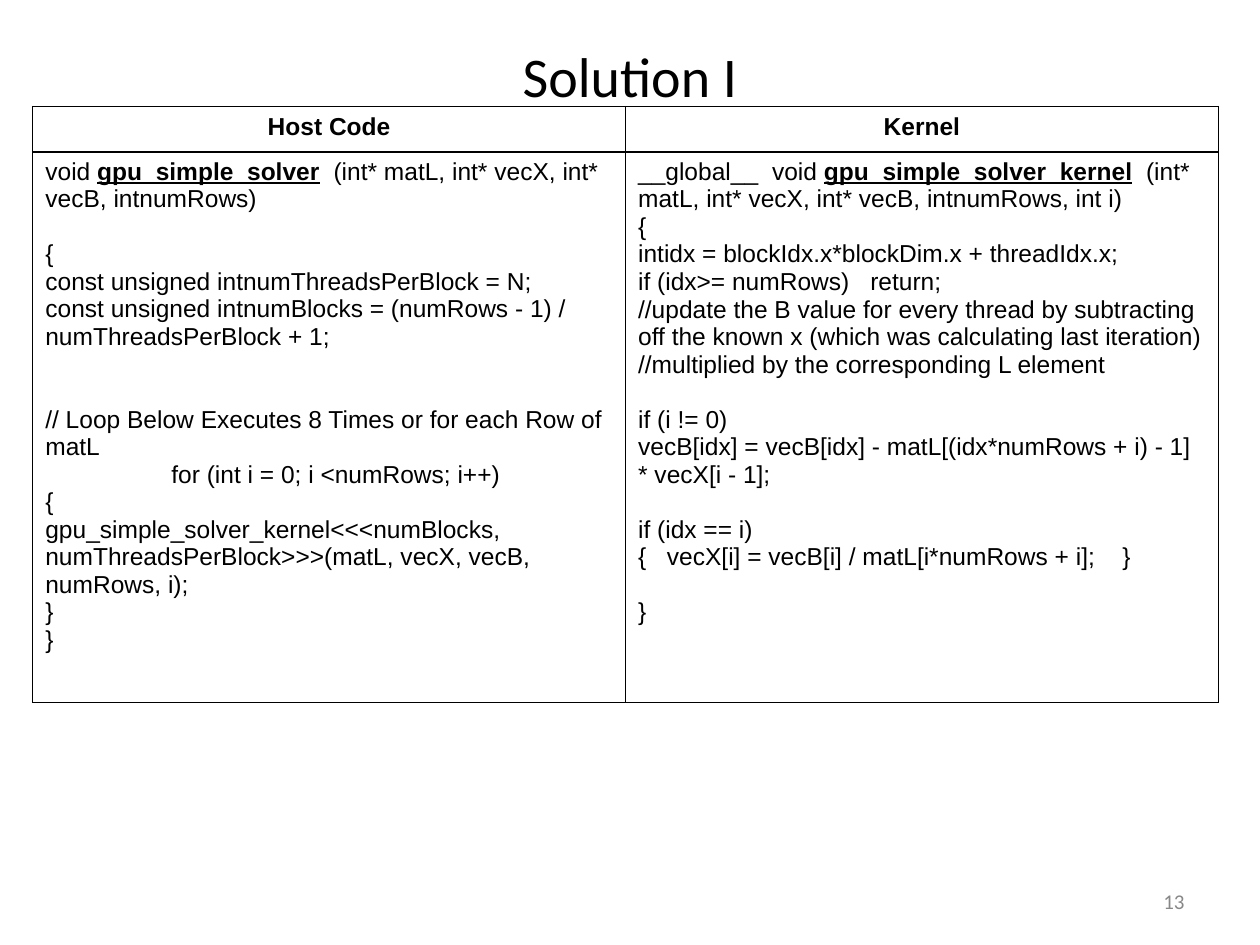
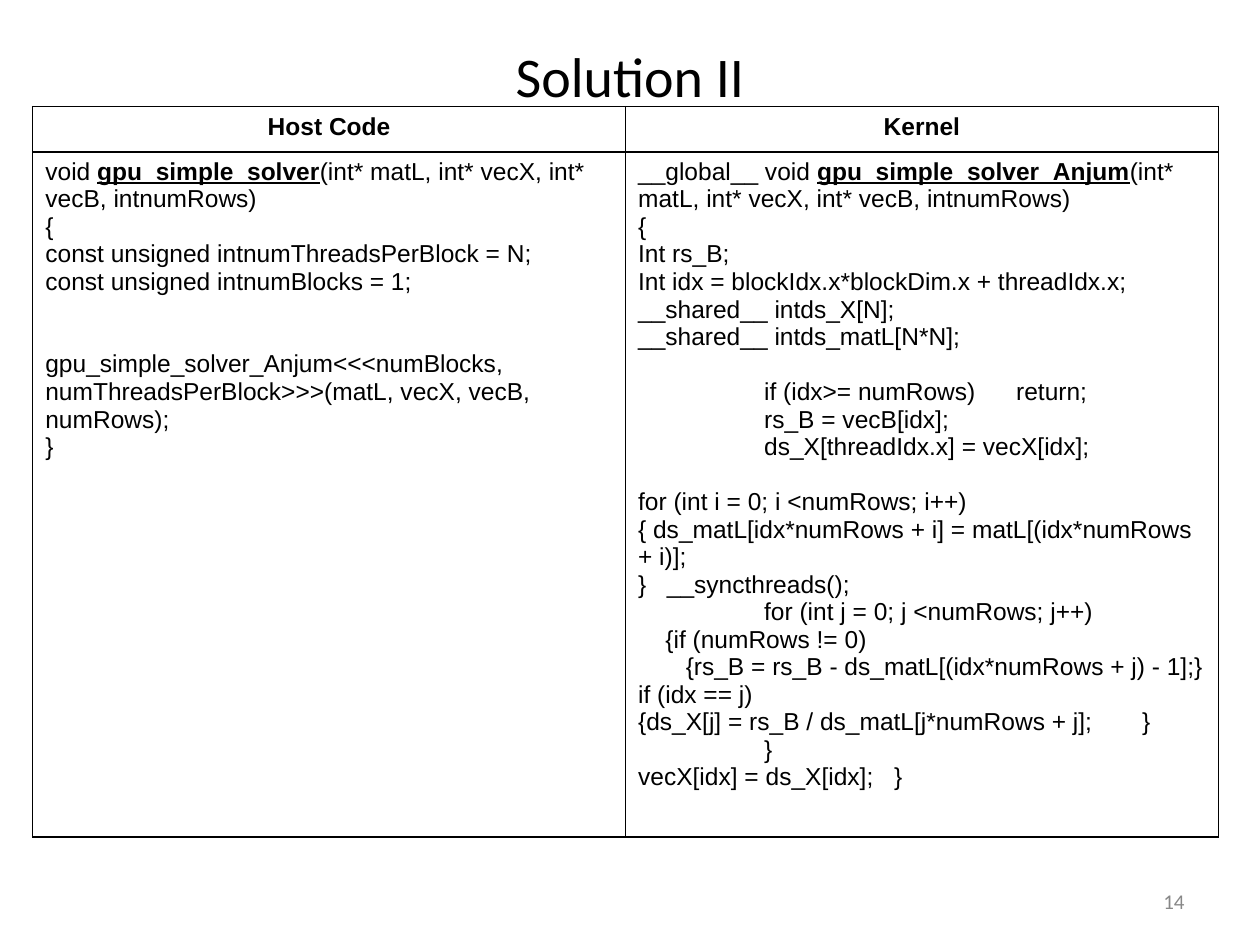
from dataclasses import dataclass

from lxml.etree import SubElement
from pptx import Presentation
from pptx.dml.color import RGBColor
from pptx.enum.text import MSO_ANCHOR as Anchor, PP_ALIGN as Align
from pptx.oxml import parse_xml
from pptx.oxml.ns import nsdecls, qn
from pptx.util import Cm, Pt

COLORS = {"ink": "000000", "paper": "FFFFFF", "number": "888888"}
TITLE_FONT = {"name": "Calibri", "size": Pt(32), "bold": False}
NUMBER_FONT = {"name": "Calibri", "size": Pt(12)}
CODE_FONT = {"name": "Arial", "size": Pt(14), "bold": False}
HEAD_FONT = CODE_FONT | {"bold": True}
MARKED_FONT = HEAD_FONT | {"underline": True}

# Boxes are left, top, width, height in centimetres
TITLE_BOX = (1.27, 0.76, 22.86, 1.5)
NUMBER_BOX = (18.21, 17.65, 5.92, 1.02)
HEAD_HEIGHT = 0.91
TABLE_LEFT, TABLE_TOP, TABLE_WIDTH = 0.66, 2.15, 23.9
LINE_HEIGHT = Pt(15.7)
STEP = 2.54  # one level of code indent


@dataclass
class Line:
    """A line of code; text between backticks is bold and underlined."""
    text: str
    gap: int = 0        # empty lines above
    indent: float = 0   # centimetres
    tabs: tuple = ()    # tab stops in centimetres


SOLUTION_1_HOST = [
    Line("void `gpu_simple_solver`\t(int* matL, int* vecX, int* vecB, intnumRows)", tabs=(5.81,)),
    Line("{", gap=1),
    Line("const unsigned intnumThreadsPerBlock = N;"),
    Line("const unsigned intnumBlocks = (numRows - 1) / numThreadsPerBlock + 1;"),
    Line("// Loop Below Executes 8 Times or for each Row of matL", gap=2),
    Line("for (int i = 0; i <numRows; i++)", indent=STEP),
    Line("{"),
    Line("gpu_simple_solver_kernel<<<numBlocks, numThreadsPerBlock>>>(matL, vecX, vecB, numRows, i);"),
    Line("}"),
    Line("}"),
]
SOLUTION_1_KERNEL = [
    Line("__global__\tvoid `gpu_simple_solver_kernel\t`(int* matL, int* vecX, int* vecB, intnumRows, int i)",
         tabs=(2.7, 10.24)),
    Line("{"),
    Line("intidx = blockIdx.x*blockDim.x + threadIdx.x;"),
    Line("if (idx>= numRows)\treturn;", tabs=(4.68,)),
    Line("//update the B value for every thread by subtracting off the known x "
         "(which was calculating last iteration)"),
    Line("//multiplied by the corresponding L element"),
    Line("if (i != 0)", gap=1),
    Line("vecB[idx] = vecB[idx] - matL[(idx*numRows + i) - 1] * vecX[i - 1];"),
    Line("if (idx == i)", gap=1),
    Line("{\tvecX[i] = vecB[i] / matL[i*numRows + i];\t}", tabs=(0.58, 9.76)),
    Line("}", gap=1),
]
SOLUTION_2_HOST = [
    Line("void `gpu_simple_solver`(int* matL, int* vecX, int* vecB, intnumRows)"),
    Line("{"),
    Line("const unsigned intnumThreadsPerBlock = N;"),
    Line("const unsigned intnumBlocks = 1;"),
    Line("gpu_simple_solver_Anjum<<<numBlocks, numThreadsPerBlock>>>(matL, vecX, vecB, numRows);", gap=2),
    Line("}"),
]
SOLUTION_2_KERNEL = [
    Line("__global__ void `gpu_simple_solver_Anjum`(int* matL, int* vecX, int* vecB, intnumRows)"),
    Line("{"),
    Line("Int rs_B;"),
    Line("Int idx = blockIdx.x*blockDim.x + threadIdx.x;"),
    Line("__shared__ intds_X[N];"),
    Line("__shared__ intds_matL[N*N];"),
    Line("if (idx>= numRows)\treturn;", gap=1, indent=STEP),
    Line("rs_B = vecB[idx];", indent=STEP),
    Line("ds_X[threadIdx.x] = vecX[idx];", indent=STEP),
    Line("for (int i = 0; i <numRows; i++)", gap=1),
    Line("{ ds_matL[idx*numRows + i] = matL[(idx*numRows + i)];"),
    Line("}\t__syncthreads();", tabs=(0.58,)),
    Line("for (int j = 0; j <numRows; j++)", indent=STEP),
    Line("{if (numRows != 0)", indent=0.55),
    Line("{rs_B = rs_B - ds_matL[(idx*numRows + j) - 1];}", indent=0.96),
    Line("if (idx == j)"),
    Line("{ds_X[j] = rs_B / ds_matL[j*numRows + j];\t}", tabs=(10.16,)),
    Line("}", indent=STEP),
    Line("vecX[idx] = ds_X[idx];\t}", tabs=(5.16,)),
]
# Title, page number, height of the code row, host code, kernel code
PAGES = [
    ("Solution I", 13, 11.1, SOLUTION_1_HOST, SOLUTION_1_KERNEL),
    ("Solution II", 14, 13.03, SOLUTION_2_HOST, SOLUTION_2_KERNEL),
]


def add_span(para, text, font_values, color="ink"):
    span = para.add_run()
    span.text = text
    for name, value in font_values.items():
        setattr(span.font, name, value)
    span.font.color.rgb = RGBColor.from_string(COLORS[color])


def place_title(page, box, text):
    title = page.shapes.title
    title.left, title.top, title.width, title.height = map(Cm, box)
    title.text_frame.vertical_anchor = Anchor.MIDDLE
    para = title.text_frame.paragraphs[0]
    para.alignment = Align.CENTER
    add_span(para, text, TITLE_FONT)


def place_number(page, box, number):
    frame = page.shapes.add_textbox(*map(Cm, box)).text_frame
    frame.word_wrap = True
    frame.vertical_anchor = Anchor.MIDDLE
    para = frame.paragraphs[0]
    para.alignment = Align.RIGHT
    add_span(para, str(number), NUMBER_FONT, "number")


def style_cell(cell):
    """White fill and a thin border on every side."""
    cell.fill.solid()
    cell.fill.fore_color.rgb = RGBColor.from_string(COLORS["paper"])
    properties = cell._tc.get_or_add_tcPr()
    for position, side in enumerate(("lnL", "lnR", "lnT", "lnB")):
        properties.insert(position, parse_xml(
            f'<a:{side} {nsdecls("a")} w="{Pt(1)}"><a:solidFill>'
            f'<a:srgbClr val="{COLORS["ink"]}"/></a:solidFill></a:{side}>'))


def write_code(frame, lines):
    for index, line in enumerate(lines):
        para = frame.add_paragraph() if index else frame.paragraphs[0]
        para.alignment = Align.LEFT
        para.space_before = line.gap * LINE_HEIGHT
        properties = para._p.get_or_add_pPr()
        properties.set("marL", str(Cm(line.indent)))
        if line.tabs:
            stops = SubElement(properties, qn("a:tabLst"))
            for stop in line.tabs:
                SubElement(stops, qn("a:tab"), pos=str(Cm(stop)), algn="l")
        for part, text in enumerate(line.text.split("`")):
            if text:
                add_span(para, text, MARKED_FONT if part % 2 else CODE_FONT)


def place_code_table(page, box, columns):
    left, top, width, height = box
    table = page.shapes.add_table(2, len(columns), *map(Cm, box)).table
    table.first_row = table.horz_banding = False
    table.rows[0].height = Cm(HEAD_HEIGHT)
    table.rows[1].height = Cm(height - HEAD_HEIGHT)
    for index, (heading, lines) in enumerate(columns.items()):
        table.columns[index].width = Cm(width / len(columns))
        head, body = table.cell(0, index), table.cell(1, index)
        style_cell(head)
        style_cell(body)
        para = head.text_frame.paragraphs[0]
        para.alignment = Align.CENTER
        add_span(para, heading, HEAD_FONT)
        write_code(body.text_frame, lines)


def add_solution_page(deck, title, number, code_height, host, kernel):
    page = deck.slides.add_slide(deck.slide_layouts[5])  # title only
    place_title(page, TITLE_BOX, title)
    place_number(page, NUMBER_BOX, number)
    table_box = (TABLE_LEFT, TABLE_TOP, TABLE_WIDTH, HEAD_HEIGHT + code_height)
    place_code_table(page, table_box, {"Host Code": host, "Kernel": kernel})


def main():
    deck = Presentation()
    deck.slide_width, deck.slide_height = Cm(25.4), Cm(19.05)
    for content in PAGES:
        add_solution_page(deck, *content)
    deck.save("out.pptx")


if __name__ == "__main__":
    main()
